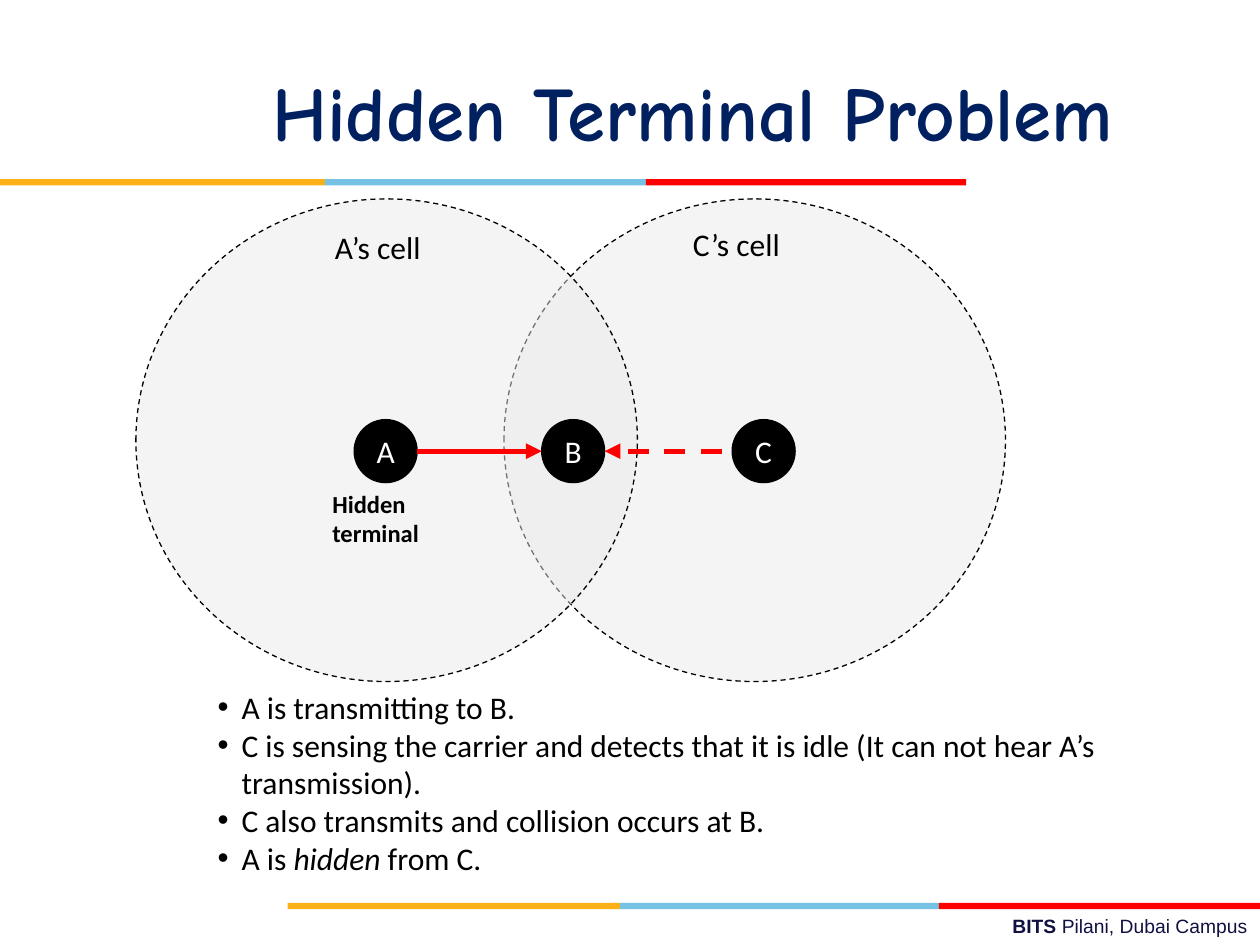
from lxml import etree
from pptx import Presentation
from pptx.dml.color import RGBColor
from pptx.enum.dml import MSO_LINE
from pptx.enum.shapes import MSO_CONNECTOR, MSO_SHAPE
from pptx.enum.text import MSO_ANCHOR, PP_ALIGN
from pptx.oxml.ns import qn
from pptx.util import Cm, Pt

RECT, OVAL = MSO_SHAPE.RECTANGLE, MSO_SHAPE.OVAL
DASH = MSO_LINE.DASH
LEFT, CENTER, RIGHT = PP_ALIGN.LEFT, PP_ALIGN.CENTER, PP_ALIGN.RIGHT
MIDDLE = MSO_ANCHOR.MIDDLE

TITLE = "Hidden Terminal Problem"
BAR_COLORS = ["FCB017", "76C2E5", "FF0000"]
BARS = [  # top, edges of the three colour segments
    (3.61, [0, 6.55, 13.02, 19.48]),
    (18.2, [5.8, 12.5, 18.93, 25.4]),
]
CELL_LEFTS = [10.16, 2.74]
CELL_TOP, CELL_W, CELL_H = 4.01, 10.11, 9.73
NODES = {"A": 7.14, "B": 10.92, "C": 14.76}
NODE_TOP, NODE_SIZE = 8.46, 1.27
LABELS = [  # box, size, bold, lines
    ((6.5, 4.47, 2.51, 1.02), 18, False, ["A’s cell"]),
    ((13.72, 4.42, 2.57, 1.02), 18, False, ["C’s cell"]),
    ((6.45, 9.73, 2.44, 1.45), 14, True, ["Hidden", "terminal"]),
]
BULLETS = [  # runs of each bullet: text, italic
    [("A is transmitting to B.", False)],
    [("C is sensing the carrier and detects that it is idle "
      "(It can not hear A’s\vtransmission).", False)],
    [("C also transmits and collision occurs at B.", False)],
    [("A is ", False), ("hidden", True), (" from C.", False)],
]
FOOTER = [("BITS ", True), ("Pilani, Dubai Campus", False)]


def rgb(code):
    return RGBColor.from_string(code)


def style(font, name, size, color, bold=False, italic=False):
    font.name, font.size = name, Pt(size)
    font.bold, font.italic = bold, italic
    font.color.rgb = rgb(color)


def add_shape(slide, kind, box, fill, line=None, alpha=None):
    sp = slide.shapes.add_shape(kind, *map(Cm, box))
    sp.shadow.inherit = False
    sp.fill.solid()
    sp.fill.fore_color.rgb = rgb(fill)
    if alpha:
        color = sp.fill._xPr.find(".//" + qn("a:srgbClr"))
        etree.SubElement(color, qn("a:alpha"), val=str(alpha * 1000))
    if line:
        sp.line.color.rgb = rgb(line)
        sp.line.width = Pt(0.75)
    else:
        sp.line.fill.background()
    return sp


def add_text_box(slide, box, wrap):
    tf = slide.shapes.add_textbox(*map(Cm, box)).text_frame
    tf.word_wrap = wrap
    return tf


def add_arrow(slide, x1, x2, y, dash=None):
    line = slide.shapes.add_connector(
        MSO_CONNECTOR.STRAIGHT, Cm(x1), Cm(y), Cm(x2), Cm(y))
    line.line.color.rgb = rgb("FF0000")
    line.line.width = Pt(3)
    if dash:
        line.line.dash_style = dash
    etree.SubElement(line.line._get_or_add_ln(), qn("a:tailEnd"), type="triangle")
    etree.SubElement(line._element.spPr, qn("a:effectLst"))


def add_bullet(p, indent):
    """Give the paragraph a hanging round bullet."""
    pPr = p._p.get_or_add_pPr()
    pPr.set("marL", str(Cm(indent)))
    pPr.set("indent", str(-Cm(indent)))
    etree.SubElement(pPr, qn("a:buFont"), typeface="Arial")
    etree.SubElement(pPr, qn("a:buChar"), char="•")


def add_frame(slide):
    for top, edges in BARS:
        for color, x1, x2 in zip(BAR_COLORS, edges, edges[1:]):
            add_shape(slide, RECT, (x1, top, x2 - x1, 0.13), color)

    title = slide.shapes.title
    title.left, title.top, title.width, title.height = map(
        Cm, (2.54, 0.64, 22.86, 3.18))
    title.text_frame.text = TITLE
    title.text_frame.vertical_anchor = MIDDLE
    p = title.text_frame.paragraphs[0]
    p.alignment = CENTER
    style(p.runs[0].font, "Comic Neue", 44, "002060", bold=True)

    p = add_text_box(slide, (9.09, 18.31, 16.31, 0.74), True).paragraphs[0]
    p.alignment = RIGHT
    for text, bold in FOOTER:
        r = p.add_run()
        r.text = text
        style(r.font, "Arial", 11, "101141", bold)


def add_diagram(slide):
    for left in CELL_LEFTS:
        cell = add_shape(slide, OVAL, (left, CELL_TOP, CELL_W, CELL_H),
                         "EAEAEA", "000000", alpha=49)
        cell.line.dash_style = DASH

    for name, left in NODES.items():
        node = add_shape(slide, OVAL, (left, NODE_TOP, NODE_SIZE, NODE_SIZE),
                         "000000", "000000")
        tf = node.text_frame
        tf.text = name
        tf.word_wrap = False
        tf.vertical_anchor = MIDDLE
        tf.paragraphs[0].alignment = CENTER
        style(tf.paragraphs[0].runs[0].font, "Calibri", 18, "FFFFFF")

    middle = NODE_TOP + NODE_SIZE / 2
    add_arrow(slide, NODES["A"] + NODE_SIZE, NODES["B"], middle)
    add_arrow(slide, NODES["C"] - 0.2, NODES["B"] + NODE_SIZE, middle, DASH)

    for box, size, bold, lines in LABELS:
        tf = add_text_box(slide, box, False)
        tf.text = "\n".join(lines)
        for p in tf.paragraphs:
            p.alignment = LEFT
            style(p.runs[0].font, "Calibri", size, "000000", bold)


def add_bullets(slide):
    tf = add_text_box(slide, (4.14, 13.74, 20.07, 4.06), True)
    for i, parts in enumerate(BULLETS):
        p = tf.add_paragraph() if i else tf.paragraphs[0]
        add_bullet(p, 0.48)
        for text, italic in parts:
            for j, line in enumerate(text.split("\v")):
                if j:
                    p.add_line_break()
                r = p.add_run()
                r.text = line
                style(r.font, "Calibri", 18, "000000", italic=italic)


def main():
    prs = Presentation()
    prs.slide_width, prs.slide_height = Cm(25.4), Cm(19.05)
    slide = prs.slides.add_slide(prs.slide_layouts[5])
    add_frame(slide)
    add_diagram(slide)
    add_bullets(slide)
    prs.save("out.pptx")


if __name__ == "__main__":
    main()
